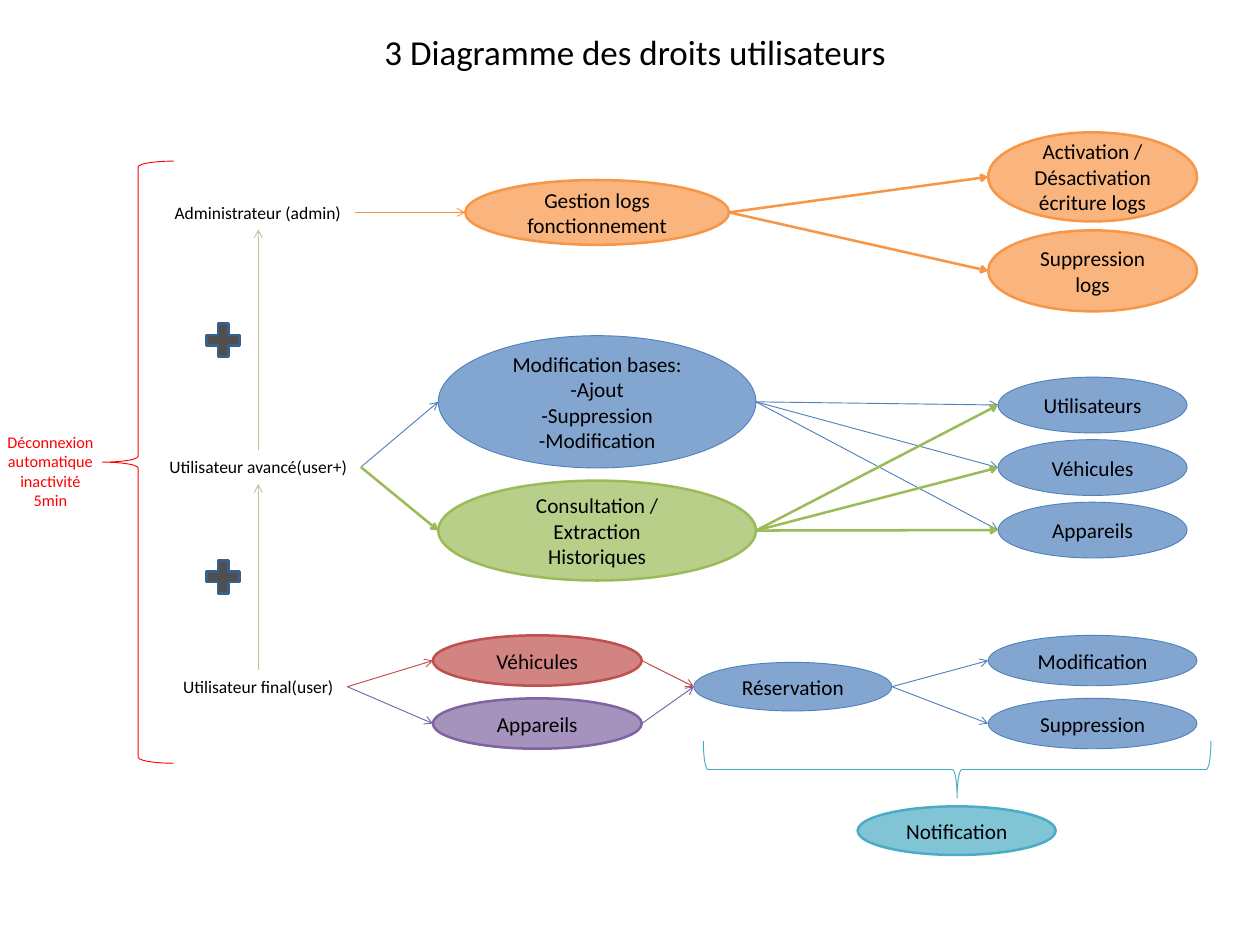
from dataclasses import dataclass

from lxml.etree import SubElement
from pptx import Presentation
from pptx.dml.color import RGBColor
from pptx.enum.shapes import MSO_CONNECTOR, MSO_SHAPE
from pptx.enum.text import MSO_ANCHOR, PP_ALIGN
from pptx.oxml.ns import qn
from pptx.util import Inches, Pt


@dataclass(frozen=True)
class Theme:
    font: str = "Calibri"
    black: str = "000000"
    red: str = "FF0000"
    orange: str = "F79646"
    orange_line: str = "F69240"
    blue: str = "4F81BD"
    green: str = "9BBB59"
    brick: str = "C0504D"
    brick_line: str = "BF4C48"
    purple: str = "8064A2"
    purple_line: str = "7D60A0"
    teal: str = "4BACC6"
    teal_line: str = "46AAC5"
    tan: str = "C4BD97"
    plus_line: str = "3A5F8C"
    title: int = 28
    right: int = 17
    role: int = 14
    note: int = 13
    thin: float = 0.75
    thick: float = 2


theme = Theme()
deck = Presentation()
deck.slide_width, deck.slide_height = Inches(14), Inches(10.5)
page = deck.slides.add_slide(deck.slide_layouts[6])


def write(shape, lines, size, color=theme.black, wrap=True, margins=(0.14, 0.07)):
    """Fill a shape with centred paragraphs, one per line."""
    frame = shape.text_frame
    frame.word_wrap = wrap
    frame.margin_left = frame.margin_right = Inches(margins[0])
    frame.margin_top = frame.margin_bottom = Inches(margins[1])
    frame.text = "\n".join(lines)
    for para in frame.paragraphs:
        para.alignment = PP_ALIGN.CENTER
        para.font.name = theme.font
        para.font.size = Pt(size)
        para.font.color.rgb = RGBColor.from_string(color)


def add_preset(kind, area, line_color, line_width, fill=None, opacity=100):
    """Add a preset shape; without a fill colour it stays hollow."""
    shape = page.shapes.add_shape(kind, *map(Inches, area))
    shape.shadow.inherit = False
    shape.line.color.rgb = RGBColor.from_string(line_color)
    shape.line.width = Pt(line_width)
    if fill is None:
        shape.fill.background()
    else:
        shape.fill.solid()
        shape.fill.fore_color.rgb = RGBColor.from_string(fill)
        color_node = shape.fill._xPr.find(qn("a:solidFill"))[0]
        SubElement(color_node, qn("a:alpha"), val=str(opacity * 1000))
    return shape


# Title and disconnection note
title = page.shapes.add_textbox(Inches(3.04), Inches(0.29), Inches(8.03), Inches(0.57))
write(title, ["3 Diagramme des droits utilisateurs"], theme.title, margins=(0.1, 0.05))
note = page.shapes.add_textbox(Inches(-0.09), Inches(4.73), Inches(1.3), Inches(1.02))
write(note, ["Déconnexion automatique", "inactivité", "5min"], theme.note, theme.red)

nodes = {}

# User roles, from the widest rights to the narrowest
roles = [
    ("admin", "Administrateur (admin)", 1.79, 2.17, 2.15),
    ("advanced", "Utilisateur avancé(user+)", 1.73, 5, 2.28),
    ("final", "Utilisateur final(user)", 1.88, 7.44, 1.98),
]
for name, label, left, top, width in roles:
    role = page.shapes.add_textbox(Inches(left), Inches(top), Inches(width), Inches(0.38))
    write(role, [label], theme.role, wrap=False)
    nodes[name] = role

# Rights: name, lines, area, colour, outline width
rights = [
    ("logs", ["Gestion logs fonctionnement"], (5.17, 2, 2.93, 0.72), theme.orange, theme.thick),
    ("log switch", ["Activation / Désactivation écriture logs"], (10.98, 1.47, 2.32, 0.99),
     theme.orange, theme.thick),
    ("log removal", ["Suppression", "logs"], (10.98, 2.56, 2.32, 0.9), theme.orange, theme.thick),
    ("bases", ["Modification bases:", "-Ajout", "-Suppression", "-Modification"],
     (4.87, 3.73, 3.53, 1.47), theme.blue, theme.thin),
    ("history", ["Consultation / Extraction", "Historiques"], (4.87, 5.34, 3.53, 1.11),
     theme.green, theme.thick),
    ("vehicles", ["Véhicules"], (4.81, 7.06, 2.32, 0.56), theme.brick, theme.thick),
    ("devices", ["Appareils"], (4.81, 7.76, 2.32, 0.56), theme.purple, theme.thick),
    ("booking", ["Réservation"], (7.71, 7.36, 2.2, 0.54), theme.blue, theme.thin),
    ("change", ["Modification"], (10.98, 7.06, 2.32, 0.56), theme.blue, theme.thin),
    ("removal", ["Suppression"], (10.98, 7.76, 2.32, 0.56), theme.blue, theme.thin),
    ("notification", ["Notification"], (9.53, 8.96, 2.2, 0.54), theme.teal, theme.thick),
]
tables = ["Utilisateurs", "Véhicules", "Appareils"]
for row, label in enumerate(tables):
    area = (11.09, 4.19 + row * 0.695, 2.1, 0.62)
    rights.append((f"table {label}", [label], area, theme.blue, theme.thin))

for name, lines, area, color, line_width in rights:
    oval = add_preset(MSO_SHAPE.OVAL, area, color, line_width, color, 70)
    oval.text_frame.vertical_anchor = MSO_ANCHOR.MIDDLE
    write(oval, lines, theme.right)
    nodes[name] = oval

# Links run from the right edge of one node to the left edge of the next
links = [
    ("admin", "logs", theme.orange_line, theme.thin),
    ("logs", "log switch", theme.orange, theme.thick),
    ("logs", "log removal", theme.orange, theme.thick),
    ("advanced", "bases", theme.blue, theme.thin),
    ("advanced", "history", theme.green, theme.thick),
    ("final", "vehicles", theme.brick_line, theme.thin),
    ("final", "devices", theme.purple_line, theme.thin),
    ("vehicles", "booking", theme.brick_line, theme.thin),
    ("devices", "booking", theme.purple_line, theme.thin),
    ("booking", "change", theme.blue, theme.thin),
    ("booking", "removal", theme.blue, theme.thin),
]
for source, color, line_width in [("bases", theme.blue, theme.thin),
                                  ("history", theme.green, theme.thick)]:
    links += [(source, f"table {label}", color, line_width) for label in tables]

arrows = []
for source, target, color, line_width in links:
    start, end = nodes[source], nodes[target]
    arrows.append((start.left + start.width, start.top + start.height // 2,
                   end.left, end.top + end.height // 2, color, line_width))

# Each role inherits the rights of the one below it
for lower, upper in [("advanced", "admin"), ("final", "advanced")]:
    upper_bottom = nodes[upper].top + nodes[upper].height
    arrows.append((Inches(2.87), nodes[lower].top, Inches(2.87), upper_bottom,
                   theme.tan, theme.thin))

for *ends, color, line_width in arrows:
    arrow = page.shapes.add_connector(MSO_CONNECTOR.STRAIGHT, *ends)
    arrow.line.color.rgb = RGBColor.from_string(color)
    arrow.line.width = Pt(line_width)
    SubElement(arrow.line._get_or_add_ln(), qn("a:tailEnd"), type="arrow")
    SubElement(arrow._element.spPr, qn("a:effectLst"))

for top in (3.53, 6.16):
    add_preset(MSO_SHAPE.MATH_PLUS, (2.23, top, 0.5, 0.5), theme.plus_line, theme.thick,
               theme.black, 69)

# Braces around the roles and above the notification
add_preset(MSO_SHAPE.LEFT_BRACE, (1.14, 1.79, 0.79, 6.69), theme.red, theme.thin)
booking_brace = add_preset(MSO_SHAPE.LEFT_BRACE, (10.32, 5.73, 0.63, 5.64),
                           theme.teal_line, theme.thin)
booking_brace.rotation = 270

deck.save("out.pptx")
